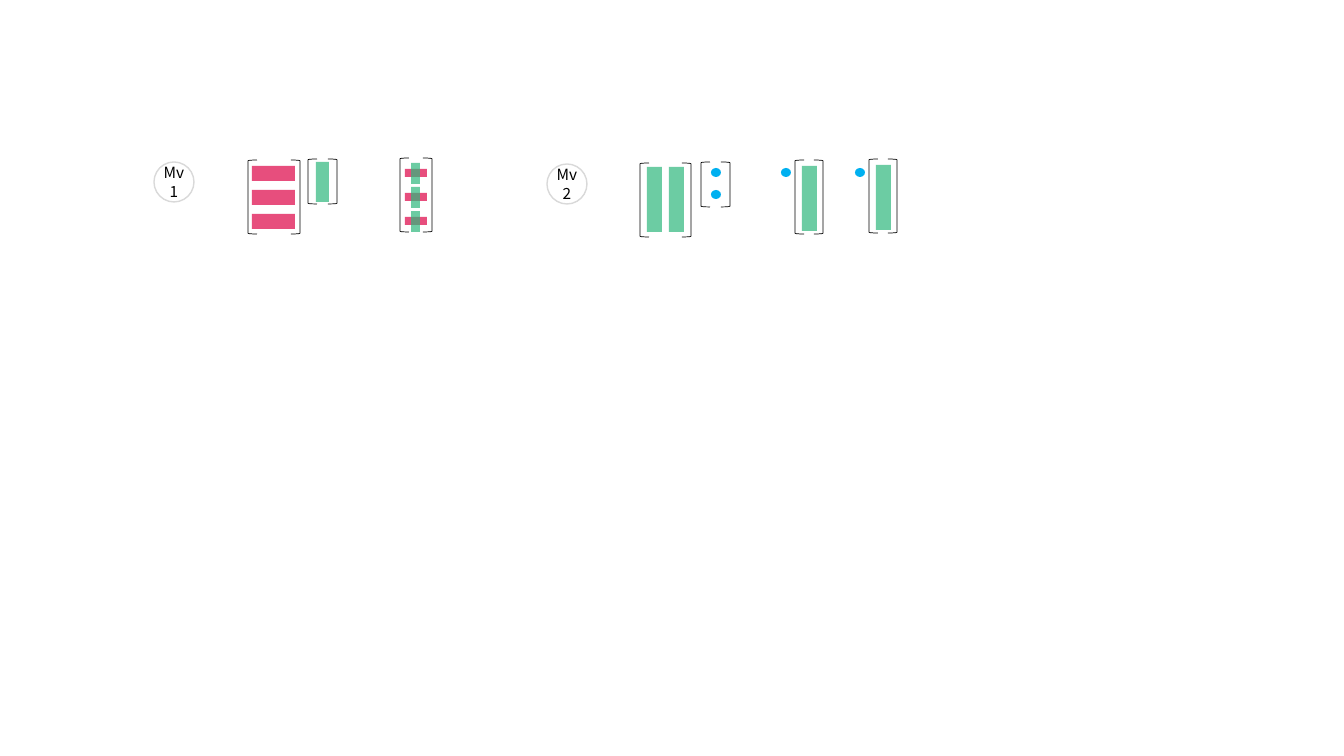
from lxml import etree
from pptx import Presentation
from pptx.dml.color import RGBColor
from pptx.enum.shapes import MSO_SHAPE
from pptx.enum.text import MSO_ANCHOR, PP_ALIGN
from pptx.oxml.ns import qn
from pptx.util import Pt

RECTANGLE = MSO_SHAPE.RECTANGLE
OVAL = MSO_SHAPE.OVAL
BRACKET = MSO_SHAPE.LEFT_BRACKET
MIDDLE = MSO_ANCHOR.MIDDLE
CENTER = PP_ALIGN.CENTER
BLANK_LAYOUT = 6


def color(hex_string):
    """Turn a hex string into a colour."""
    return RGBColor.from_string(hex_string)


class MatrixSlide:
    """Draw matrix diagrams on one slide in one style."""

    SCALE = 914400 / 100.8
    FONT = "Noto Sans CJK JP"
    ROW = ("E11F5B", 79)
    COLUMN = ("2EB77C", 70)
    SCALAR = "00B0F0"
    INK = "000000"
    RING = "D9D9D9"
    BRACKET_WIDTH = 9

    def __init__(self, presentation):
        """Set the slide size and add a blank slide."""
        presentation.slide_width = self.px(1344)
        presentation.slide_height = self.px(756)
        self.slide = presentation.slides.add_slide(presentation.slide_layouts[BLANK_LAYOUT])

    def px(self, length):
        """Turn px into EMU."""
        return round(length * self.SCALE)

    def shape(self, kind, left, top, width, height):
        """Add a plain shape without shadow, fill or line."""
        box = [self.px(length) for length in (left, top, width, height)]
        shape = self.slide.shapes.add_shape(kind, *box)
        shape.shadow.inherit = False
        shape.fill.background()
        shape.line.fill.background()
        return shape

    def outline(self, shape, hex_string, points):
        """Give a shape a solid line."""
        shape.line.color.rgb = color(hex_string)
        shape.line.width = Pt(points)

    def bar(self, style, left, top, width, height):
        """Add a translucent bar for a matrix row or column."""
        hex_string, opacity = style
        shape = self.shape(RECTANGLE, left, top, width, height)
        shape.fill.solid()
        shape.fill.fore_color.rgb = color(hex_string)
        fill_color = shape.fill._xPr.find(qn("a:solidFill"))[0]
        etree.SubElement(fill_color, qn("a:alpha")).set("val", str(opacity * 1000))

    def brackets(self, left, top, width, height):
        """Add a pair of brackets around an area."""
        right = left + width - self.BRACKET_WIDTH
        for bracket_left, flipped in ((left, False), (right, True)):
            shape = self.shape(BRACKET, bracket_left, top, self.BRACKET_WIDTH, height)
            self.outline(shape, self.INK, 0.5)
            if flipped:
                shape._element.spPr.find(qn("a:xfrm")).set("flipH", "1")

    def dot(self, left, top):
        """Add a scalar dot."""
        shape = self.shape(OVAL, left, top, 10, 9)
        shape.fill.solid()
        shape.fill.fore_color.rgb = color(self.SCALAR)

    def label(self, text, left, top):
        """Add a ring with a centred label."""
        shape = self.shape(OVAL, left, top, 40, 40)
        self.outline(shape, self.RING, 1)
        frame = shape.text_frame
        frame.margin_left = frame.margin_right = frame.margin_top = frame.margin_bottom = 0
        frame.vertical_anchor = MIDDLE
        frame.word_wrap = True
        frame.text = text
        paragraph = frame.paragraphs[0]
        paragraph.alignment = CENTER
        for run in paragraph.runs:
            run.font.name = self.FONT
            run.font.size = Pt(11)
            run.font.color.rgb = color(self.INK)

    def row_view(self):
        """Draw the product as one dot product per row."""
        self.label("Mv\v1", 154, 162)
        self.brackets(248, 160, 52, 74)
        self.brackets(308, 159, 29, 45)
        self.bar(self.COLUMN, 316, 162, 13, 40)
        for index in range(3):
            offset = 24 * index
            self.bar(self.ROW, 252, 166 + offset, 43, 15)
            self.bar(self.ROW, 405, 169 + offset, 22, 8)
            self.bar(self.COLUMN, 411, 163 + offset, 9, 21)
        self.brackets(400, 158, 32, 74)

    def column_view(self):
        """Draw the product as a combination of columns."""
        self.label("Mv\v2", 547, 164)
        self.brackets(640, 163, 51, 74)
        for left in (647, 669):
            self.bar(self.COLUMN, left, 167, 15, 65)
        self.brackets(701, 162, 29, 45)
        for top in (168, 190):
            self.dot(711, top)
        for left, top in ((781, 160), (855, 159)):
            self.dot(left, 168)
            self.brackets(left + 14, top, 28, 74)
            self.bar(self.COLUMN, left + 21, top + 6, 15, 65)


def main():
    """Build and save the slide."""
    presentation = Presentation()
    matrix_slide = MatrixSlide(presentation)
    matrix_slide.row_view()
    matrix_slide.column_view()
    presentation.save("out.pptx")


if __name__ == "__main__":
    main()
